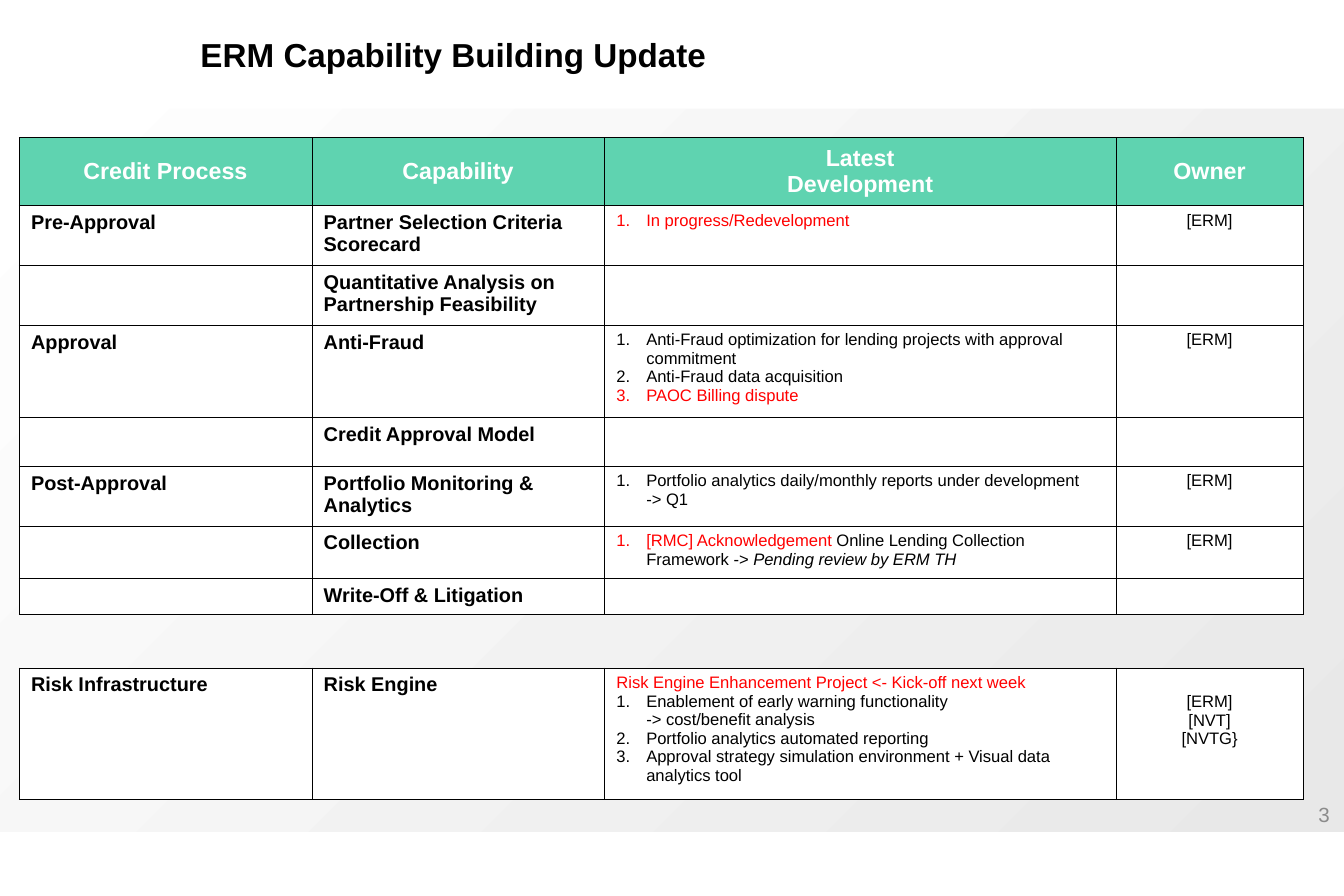
from copy import deepcopy

from lxml import etree
from pptx import Presentation
from pptx.dml.color import RGBColor
from pptx.enum import shapes, text
from pptx.oxml.ns import qn
from pptx.util import Inches, Pt

BLACK = RGBColor(0x00, 0x00, 0x00)
WHITE = RGBColor(0xFF, 0xFF, 0xFF)
RED = RGBColor(0xFF, 0x00, 0x00)
GREEN = RGBColor(0x5F, 0xD3, 0xB0)
PALE_GRAY = RGBColor(0xE8, 0xE8, 0xE8)
NUMBER_GRAY = RGBColor(0x8B, 0x8B, 0x8B)
FONT = "Arial"

# Content: process, capability, developments, owners
# A development is (numbered, runs); a run is (text, colour, italic)
TITLE = "ERM Capability Building Update"
PAGE_NUMBER = "3"
HEADERS = ["Credit Process", "Capability", "Latest\nDevelopment", "Owner"]


def item(words, color=BLACK, numbered=True):
    return numbered, [(words, color, False)]


PROCESS_ROWS = [
    ("Pre-Approval", "Partner Selection Criteria Scorecard",
     [item("In progress/Redevelopment", RED)], ["[ERM]"]),
    ("", "Quantitative Analysis on Partnership Feasibility", [], []),
    ("Approval", "Anti-Fraud",
     [item("Anti-Fraud optimization for lending projects with approval commitment"),
      item("Anti-Fraud data acquisition"),
      item("PAOC Billing dispute", RED)], ["[ERM]"]),
    ("", "Credit Approval Model", [], []),
    ("Post-Approval", "Portfolio Monitoring & Analytics",
     [item("Portfolio analytics daily/monthly reports under development\n-> Q1")],
     ["[ERM]"]),
    ("", "Collection",
     [(True, [("[RMC] Acknowledgement ", RED, False),
              ("Online Lending Collection Framework -> ", BLACK, False),
              ("Pending review by ERM TH", BLACK, True)])], ["[ERM]"]),
    ("", "Write-Off & Litigation", [], []),
]
INFRASTRUCTURE_ROWS = [
    ("Risk Infrastructure", "Risk Engine",
     [item("Risk Engine Enhancement Project <- Kick-off next week", RED, False),
      item("Enablement of early warning functionality\n-> cost/benefit analysis"),
      item("Portfolio analytics automated reporting"),
      item("Approval strategy simulation environment + Visual data analytics tool")],
     ["[ERM]", "[NVT]", "[NVTG}"]),
]

# Layout in inches
TABLE_LEFT = 0.16
COLUMN_WIDTHS = [2.45, 2.45, 4.28, 1.57]
HEADER_HEIGHT = 0.57
PROCESS_HEIGHTS = [0.5, 0.5, 0.77, 0.41, 0.5, 0.44, 0.29]
INFRASTRUCTURE_HEIGHT = 1.1

presentation = Presentation()
presentation.slide_width, presentation.slide_height = Inches(11.25), Inches(7.5)
slide = presentation.slides.add_slide(presentation.slide_layouts[6])


def add_runs(paragraph, runs, size, bold=False, centered=False):
    for words, color, italic in runs:
        for index, line in enumerate(words.split("\n")):
            if index:
                paragraph.add_line_break()
            run = paragraph.add_run()
            run.text = line
            font = run.font
            font.name, font.size, font.bold = FONT, Pt(size), bold
            font.italic, font.color.rgb = italic, color
    # Line breaks take the size of the text around them
    for line_break in paragraph._p.findall(qn("a:br")):
        line_break.insert(0, deepcopy(paragraph.runs[0].font._rPr))
    if centered:
        paragraph.alignment = text.PP_ALIGN.CENTER


def number_paragraph(paragraph):
    properties = paragraph._p.get_or_add_pPr()
    properties.set("marL", str(Inches(0.25)))
    properties.set("indent", str(-Inches(0.25)))
    bullet = etree.SubElement(properties, qn("a:buAutoNum"))
    bullet.set("type", "arabicPeriod")


def style_cell(cell, color):
    properties = cell._tc.get_or_add_tcPr()
    for side in ("lnL", "lnR", "lnT", "lnB"):
        line = etree.SubElement(properties, qn("a:" + side), w=str(Pt(0.25)))
        fill = etree.SubElement(line, qn("a:solidFill"))
        etree.SubElement(fill, qn("a:srgbClr"), val=str(BLACK))
    cell.fill.solid()
    cell.fill.fore_color.rgb = color


def fill_cell(cell, lines, size, bold=False, centered=False):
    frame = cell.text_frame
    for index, (numbered, runs) in enumerate(lines):
        paragraph = frame.add_paragraph() if index else frame.paragraphs[0]
        add_runs(paragraph, runs, size, bold, centered)
        if numbered:
            number_paragraph(paragraph)
    if not lines:
        etree.SubElement(frame.paragraphs[0]._p, qn("a:endParaRPr"), sz=str(size * 100))


def add_grid(top, heights):
    table = slide.shapes.add_table(
        len(heights), len(COLUMN_WIDTHS), Inches(TABLE_LEFT), Inches(top),
        Inches(sum(COLUMN_WIDTHS)), Inches(sum(heights))).table
    table.first_row = table.horz_banding = False
    for column, width in zip(table.columns, COLUMN_WIDTHS):
        column.width = Inches(width)
    for row, height in zip(table.rows, heights):
        row.height = Inches(height)
    return table


def fill_row(row, process, capability, developments, owners):
    for cell in row.cells:
        style_cell(cell, WHITE)
    for cell, label in zip(row.cells, (process, capability)):
        fill_cell(cell, [item(label, numbered=False)] if label else [], 12, bold=True)
    fill_cell(row.cells[2], developments, 10)
    fill_cell(row.cells[3], [item(owner, numbered=False) for owner in owners], 10,
              centered=True)


def add_band(left, top, width, height):
    band = slide.shapes.add_shape(shapes.MSO_SHAPE.RECTANGLE, Inches(left), Inches(top),
                                  Inches(width), Inches(height))
    band.shadow.inherit = False
    band.line.fill.background()
    return band


def add_label(left, top, width, height, words, size, color, bold=False):
    frame = slide.shapes.add_textbox(Inches(left), Inches(top), Inches(width),
                                     Inches(height)).text_frame
    add_runs(frame.paragraphs[0], [(words, color, False)], size, bold)
    return frame


# Background panel and title band
panel = add_band(-0.01, 0.9, 11.26, 6.06)
panel.fill.gradient()
panel.fill.gradient_angle = 315
for stop, color in zip(panel.fill.gradient_stops, (WHITE, PALE_GRAY)):
    stop.color.rgb = color
title_band = add_band(0.02, 0, 11.25, 0.91)
title_band.fill.solid()
title_band.fill.fore_color.rgb = WHITE

# Title and page number
add_label(1.58, 0.24, 4.47, 0.44, TITLE, 20, BLACK, bold=True).word_wrap = False
number_frame = add_label(10.67, 6.66, 0.56, 0.31, PAGE_NUMBER, 12.4, NUMBER_GRAY)
number_frame.word_wrap = True
number_frame.paragraphs[0].alignment = text.PP_ALIGN.RIGHT

# Credit process table
process_table = add_grid(1.15, [HEADER_HEIGHT] + PROCESS_HEIGHTS)
for cell, header in zip(process_table.rows[0].cells, HEADERS):
    style_cell(cell, GREEN)
    fill_cell(cell, [item(header, WHITE, False)], 14, bold=True, centered=True)
    cell.vertical_anchor = text.MSO_ANCHOR.MIDDLE
for index, content in enumerate(PROCESS_ROWS, start=1):
    fill_row(process_table.rows[index], *content)

# Risk infrastructure table, owners starting one line lower
infrastructure_table = add_grid(5.59, [INFRASTRUCTURE_HEIGHT])
fill_row(infrastructure_table.rows[0], *INFRASTRUCTURE_ROWS[0])
infrastructure_table.cell(0, 3).margin_top = Inches(0.21)

presentation.save("out.pptx")
